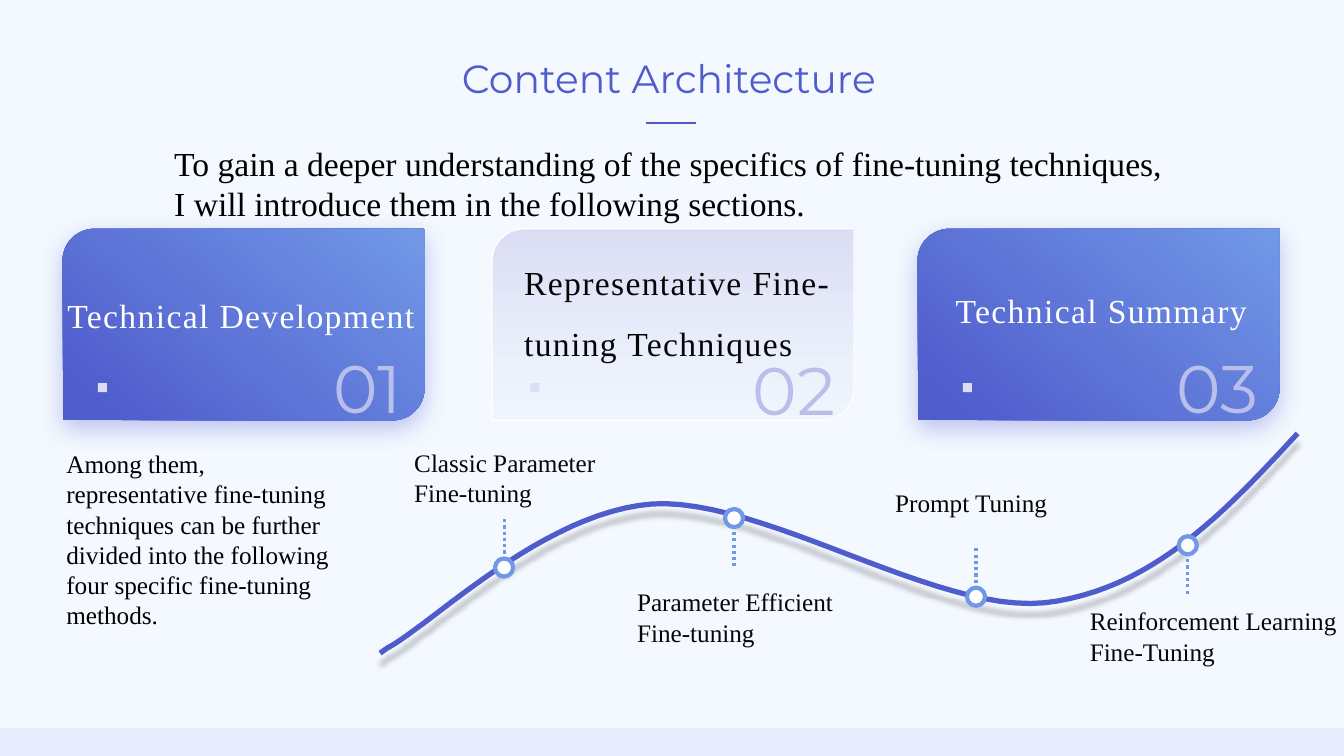
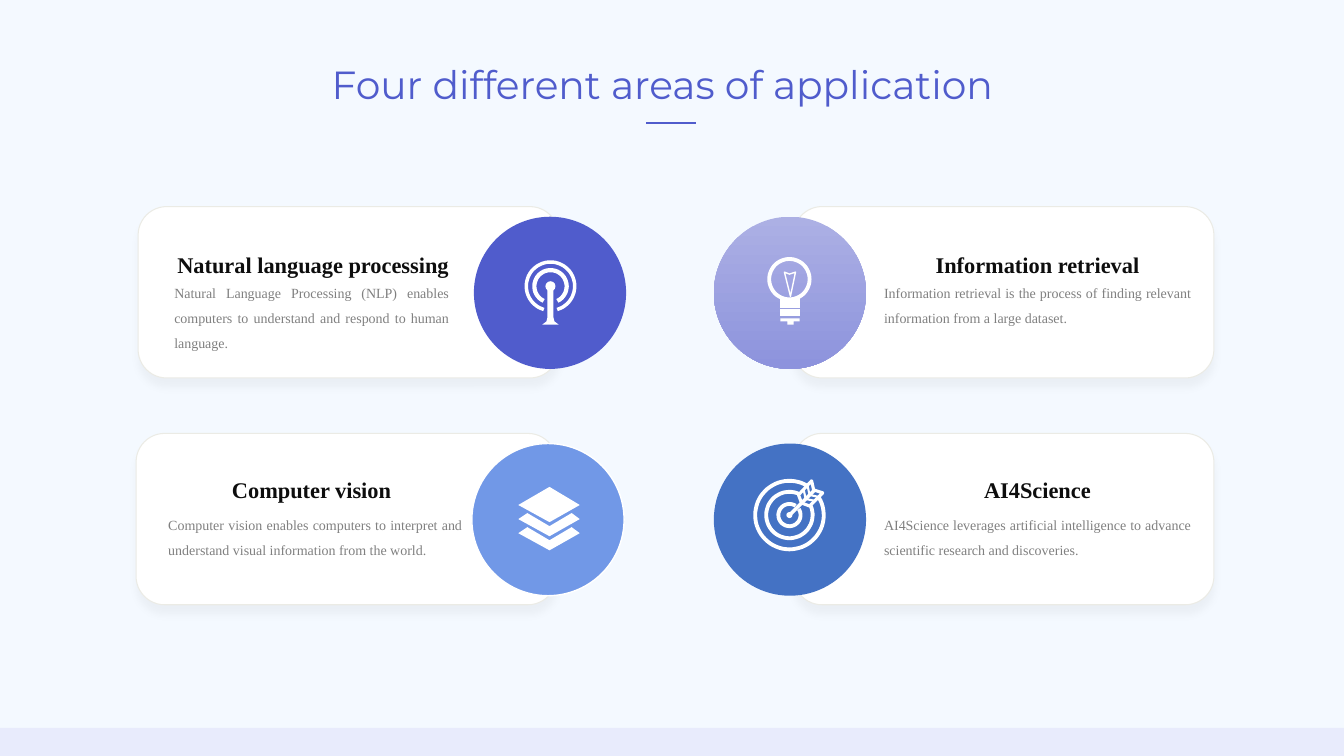
from math import cos, sin, radians
from lxml.etree import SubElement
from pptx import Presentation
from pptx.dml.color import RGBColor
from pptx.enum.dml import MSO_LINE
from pptx.enum.shapes import MSO_CONNECTOR, MSO_SHAPE
from pptx.enum.text import MSO_ANCHOR, MSO_AUTO_SIZE, PP_ALIGN
from pptx.oxml.ns import qn
from pptx.util import Inches, Pt

# Shared style
HUE = {
    "page": "F4F9FF", "band": "E8EBFC", "main": "505CCC", "sky": "7198E7",
    "blue": "4472C4", "glow": "4E5BCE", "pale": "DCDEF5", "ice": "E3EAFA",
    "count": "B9BEEB", "lilac": "ACB0E4", "iris": "8D93DD", "edge": "EBEBE5",
    "white": "FFFFFF", "black": "000000", "ink": "060607", "head": "0D0D0D",
    "gray": "808080",
}
SERIF, SANS = "Times New Roman", "Montserrat"
LEFT, MID, RIGHT, JUST = (PP_ALIGN.LEFT, PP_ALIGN.CENTER,
                          PP_ALIGN.RIGHT, PP_ALIGN.JUSTIFY)

# Slide 1 content
INTRO = ("To gain a deeper understanding of the specifics of fine-tuning "
         "techniques, I will introduce them in the following sections.")
ASIDE = ("Among them, representative fine-tuning techniques can be further "
         "divided into the following four specific fine-tuning methods.")
# card left, text, text box, number place, bullet left, strong
CARDS = [
    (0.62, "Technical Development", (0.57, 2.68, 3.69, 0.63), (3.21, 3.39), 0.97, True),
    (4.88, "Representative Fine-tuning Techniques", (5.1, 2.35, 3.5, 1.24),
     (7.37, 3.41), 5.26, False),
    (9.1, "Technical Summary", (9.38, 2.63, 3.59, 0.63), (11.57, 3.39), 9.55, True),
]
# dot centre, stem direction, label, label box
STEPS = [
    (5, 5.63, -1, "Classic Parameter Fine-tuning", (4.01, 4.39, 2.09, 0.71)),
    (7.28, 5.14, 1, "Parameter Efficient Fine-tuning", (6.22, 5.77, 2.22, 0.71)),
    (9.68, 5.92, -1, "Prompt Tuning", (8.78, 4.79, 1.8, 0.4)),
    (11.78, 5.41, 1, "Reinforcement Learning Fine-Tuning", (10.71, 5.96, 2.72, 0.71)),
]
STEM = 0.48
# Bezier knots: start, then two handles and an end for each curve
WAVE = [(3.84, 6.43), (4.29, 6.19), (5.39, 5.08), (6.47, 5), (7.56, 4.93),
        (9.29, 6.09), (10.36, 5.98), (11.42, 5.86), (12.15, 5.08), (12.87, 4.3)]

# Slide 2 content: panel, circle, circle hues, head, head box, align, body, body box
AREAS = [
    ((1.37, 2.05), (4.7, 2.15), ["main"], "Natural language processing",
     (1.39, 2.44, 3.16, 0.37), RIGHT,
     "Natural Language Processing (NLP) enables computers to understand and "
     "respond to human language.", (1.63, 2.69, 2.92, 0.86)),
    ((7.87, 2.05), (7.08, 2.15), ["lilac", "iris"], "Information retrieval",
     (8.67, 2.44, 3.24, 0.37), MID,
     "Information retrieval is the process of finding relevant information "
     "from a large dataset.", (8.67, 2.69, 3.24, 0.6)),
    ((1.35, 4.3), (4.68, 4.4), ["sky"], "Computer vision",
     (1.63, 4.67, 2.92, 0.37), MID,
     "Computer vision enables computers to interpret and understand visual "
     "information from the world.", (1.57, 4.99, 3.11, 0.6)),
    ((7.87, 4.3), (7.08, 4.4), ["blue"], "AI4Science",
     (8.67, 4.67, 3.24, 0.37), MID,
     "AI4Science leverages artificial intelligence to advance scientific "
     "research and discoveries.", (8.67, 4.99, 3.24, 0.6)),
]

# Icon parts. Arcs: centre, radius, line width, gap angle, half gap
ARCS = [
    (5.46, 2.84, 0.24, 2.5, 90, 16), (5.46, 2.84, 0.16, 3, 90, 25),
    (7.83, 2.77, 0.2, 2.75, 90, 0),
    (7.83, 5.11, 0.34, 2.75, -45, 14), (7.83, 5.11, 0.23, 2.75, -45, 20),
    (7.83, 5.11, 0.11, 2.75, -45, 12),
]
DOTS = [(5.46, 2.84, 0.05), (7.83, 5.11, 0.03)]
CHEVRON = [(5.45, 5.22), (5.23, 5.09), (5.14, 5.15), (5.45, 5.32),
           (5.75, 5.15), (5.67, 5.09)]
SOLIDS = [
    [(5.43, 2.86), (5.49, 2.86), (5.49, 3.15), (5.5, 3.19), (5.54, 3.22),
     (5.38, 3.22), (5.42, 3.19), (5.43, 3.15)],
    [(7.74, 2.96), (7.93, 2.96), (7.93, 3.06), (7.74, 3.06)],
    [(7.74, 3.07), (7.93, 3.07), (7.93, 3.14), (7.74, 3.14)],
    [(7.74, 3.16), (7.93, 3.16), (7.93, 3.19), (7.87, 3.19), (7.87, 3.22),
     (7.81, 3.22), (7.81, 3.19), (7.74, 3.19)],
    [(5.75, 5.01), (5.45, 4.83), (5.14, 5.01), (5.45, 5.18)],
    CHEVRON, [(x, y + 0.14) for x, y in CHEVRON],
]
# points, line width, closed
STROKES = [
    ([(7.78, 2.7), (7.83, 2.72), (7.89, 2.7), (7.84, 2.94)], 1, True),
    ([(7.92, 4.91), (8.05, 4.77), (8.07, 4.86), (8.16, 4.89), (8.03, 5.02),
      (7.95, 4.99)], 2.25, True),
    ([(7.83, 5.11), (8.08, 4.86)], 2.5, False),
    ([(7.97, 4.85), (7.99, 4.95), (8.09, 4.97)], 1.5, False),
    ([(8.01, 4.82), (8.03, 4.91), (8.12, 4.93)], 1.5, False),
]


def rgb(hue):
    return RGBColor.from_string(HUE[hue])


def box(at):
    return [Inches(v) for v in at]


def paint(shape, fill=None, line=None, width=1, turn=270):
    """Fill with no, one or two hues, and set the outline."""
    if not fill:
        shape.fill.background()
    elif len(fill) == 1:
        shape.fill.solid()
        shape.fill.fore_color.rgb = rgb(fill[0])
    else:
        shape.fill.gradient()
        shape.fill.gradient_angle = turn
        for stop, hue in zip(shape.fill.gradient_stops, fill):
            stop.color.rgb = rgb(hue)
    if line:
        shape.line.color.rgb = rgb(line)
        shape.line.width = Pt(width)
    else:
        shape.line.fill.background()
    shape.shadow.inherit = False
    return shape


def draw(slide, kind, at, *look, **more):
    return paint(slide.shapes.add_shape(kind, *box(at)), *look, **more)


def disc(slide, x, y, r, *look):
    return draw(slide, MSO_SHAPE.OVAL, (x - r, y - r, 2 * r, 2 * r), *look)


def trace(slide, dots, close, *look):
    pen = slide.shapes.build_freeform(
        round(dots[0][0] * 1000), round(dots[0][1] * 1000), Inches(1) / 1000)
    pen.add_line_segments(
        [(round(x * 1000), round(y * 1000)) for x, y in dots[1:]], close)
    return paint(pen.convert_to_shape(), *look)


def shade(shape, hue, alpha, blur, dist):
    """Drop a soft shadow straight down."""
    fx = shape.element.spPr.find(qn("a:effectLst"))
    drop = SubElement(fx, qn("a:outerShdw"), blurRad=str(Pt(blur)),
                      dist=str(Pt(dist)), dir="5400000", algn="t", rotWithShape="0")
    clr = SubElement(drop, qn("a:srgbClr"), val=HUE[hue])
    SubElement(clr, qn("a:alpha"), val=str(alpha * 1000))


def link(slide, start, end, hue, width, dash=None):
    line = slide.shapes.add_connector(MSO_CONNECTOR.STRAIGHT, *box(start + end))
    line.line.color.rgb = rgb(hue)
    line.line.width = Pt(width)
    if dash:
        line.line.dash_style = dash
    SubElement(line.element.spPr, qn("a:effectLst"))
    return line


def style(frame, text, size, hue, font=SERIF, align=LEFT, bold=False):
    frame.text = text
    frame.word_wrap = True
    para = frame.paragraphs[0]
    para.alignment = align
    face = para.runs[0].font
    face.name, face.size, face.bold = font, Pt(size), bold
    face.color.rgb = rgb(hue)
    return para


def write(slide, at, *look, **more):
    return style(slide.shapes.add_textbox(*box(at)).text_frame, *look, **more)


def start(deck, layout, title, at):
    slide = deck.slides.add_slide(layout)
    head = slide.shapes.title
    head.left, head.top, head.width, head.height = box(at)
    style(head.text_frame, title, 28, "main", SANS)
    head.text_frame.auto_size = MSO_AUTO_SIZE.NONE
    head.text_frame.vertical_anchor = MSO_ANCHOR.MIDDLE
    return slide


def frame(slide, layout):
    """Give the layout its page colour, foot band and title rule."""
    back = layout.background.fill
    back.solid()
    back.fore_color.rgb = rgb("page")
    band = draw(slide, MSO_SHAPE.RECTANGLE, (0, 7.22, 13.33, 0.28), ["band"])
    rule = link(slide, (6.41, 1.22), (6.9, 1.22), "main", 1.25)
    for part in (band, rule):
        layout.shapes.element.append(part.element)


def curve(knots, steps=24):
    dots = [knots[0]]
    for i in range(0, len(knots) - 1, 3):
        a, b, c, d = knots[i:i + 4]
        for t in (n / steps for n in range(1, steps + 1)):
            u = 1 - t
            dots.append(tuple(
                u**3 * a[k] + 3 * u * u * t * b[k] + 3 * u * t * t * c[k] + t**3 * d[k]
                for k in (0, 1)))
    return dots


def arc(x, y, r, gap, half, steps=60):
    sweep = (360 - 2 * half) / steps
    turns = [radians(gap + half + n * sweep) for n in range(steps + 1)]
    return [(x + r * cos(t), y + r * sin(t)) for t in turns]


def outline(slide):
    write(slide, (1.63, 1.37, 10.07, 0.91), INTRO, 24, "black")
    write(slide, (0.56, 4.4, 2.92, 1.92), ASIDE, 18, "black")
    # Section cards
    for num, (left, text, spot, count, mark, strong) in enumerate(CARDS, 1):
        at = (left, 2.27, 3.59, 1.9)
        kind = MSO_SHAPE.ROUND_2_DIAG_RECTANGLE
        if strong:
            card = draw(slide, kind, at, ["main", "sky"], turn=50)
            card.fill.gradient_stops[0].position = 0.07
            shade(card, "glow", 35, 18, 6)
        else:
            card = draw(slide, kind, at, ["pale", "ice"], "white")
            last = card.element.spPr.findall(".//" + qn("a:gs"))[-1]
            SubElement(last[0], qn("a:alpha"), val="20000")
        write(slide, count + (1.2, 0.91), f"{num:02}", 48, "count", SANS)
        para = write(slide, spot, text, 24, "white" if strong else "ink")
        para.line_spacing, para.space_before = 1.5, Pt(12)
        para.runs[0].font._element.set("spc", "100")
        draw(slide, MSO_SHAPE.RECTANGLE, (mark, 3.8, 0.09, 0.09), ["pale"])
    # Wave with milestones
    wave = trace(slide, [(3.77, 6.48)] + curve(WAVE), False, None, "main", 3.75)
    shade(wave, "black", 22, 4, 7)
    for x, y, way, text, spot in STEPS:
        link(slide, (x, y + way * STEM), (x, y), "sky", 2.25, MSO_LINE.ROUND_DOT)
        disc(slide, x, y, 0.09, ["white"], "sky", 3)
        write(slide, spot, text, 18, "ink")


def areas(slide):
    for panel, ball, hues, head, top, align, body, low in AREAS:
        card = draw(slide, MSO_SHAPE.ROUNDED_RECTANGLE, panel + (4.17, 1.7),
                    ["white"], "edge", 0.75)
        shade(card, "black", 4, 6, 6)
        draw(slide, MSO_SHAPE.OVAL, ball + (1.51, 1.51), hues,
             "white" if hues == ["sky"] else None)
        write(slide, low, body, 10, "gray", align=JUST).line_spacing = 1.5
        write(slide, top, head, 16, "head", align=align, bold=True)
    # Icons
    for x, y, r, width, gap, half in ARCS:
        trace(slide, arc(x, y, r, gap, half), half == 0, None, "white", width)
    for x, y, r in DOTS:
        disc(slide, x, y, r, ["white"])
    for dots in SOLIDS:
        trace(slide, dots, True, ["white"])
    for dots, width, close in STROKES:
        trace(slide, dots, close, None, "white", width)


def main():
    deck = Presentation()
    deck.slide_width, deck.slide_height = box((13.33, 7.5))
    layout = deck.slide_layouts[5]
    first = start(deck, layout, "Content Architecture", (4.48, 0.49, 5.5, 0.57))
    frame(first, layout)
    outline(first)
    areas(start(deck, layout, "Four different areas of application",
                (3.19, 0.55, 7.5, 0.57)))
    deck.save("out.pptx")


if __name__ == "__main__":
    main()
